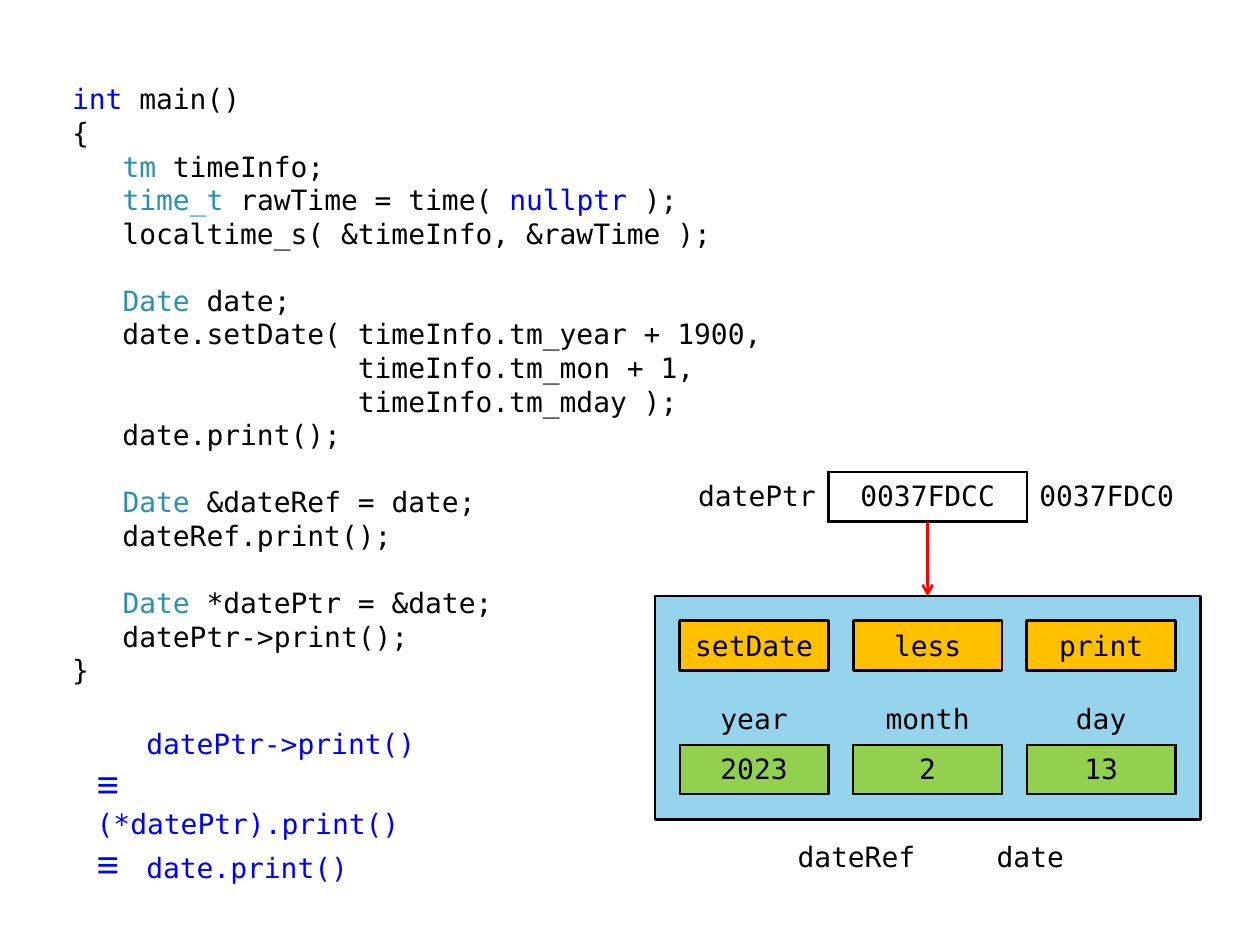
from dataclasses import dataclass
from typing import NamedTuple

from lxml.etree import SubElement
from pptx import Presentation
from pptx.dml.color import RGBColor as Rgb
from pptx.enum.shapes import MSO_CONNECTOR as Connector, MSO_SHAPE as Shape
from pptx.enum.text import MSO_ANCHOR as Anchor, PP_ALIGN as Align
from pptx.oxml.ns import qn
from pptx.util import Pt


@dataclass(frozen=True)
class Theme:
    """Colours, fonts and sizes of the slide."""
    black: str = "000000"
    keyword: str = "0000FF"
    type_name: str = "2B91AF"
    arrow: str = "FF0000"
    object_fill: str = "96D4EE"
    method_fill: str = "FFC000"
    value_fill: str = "92D050"
    mono: str = "DejaVu Sans Mono"
    sans: str = "Arial"
    size: float = 16
    symbol_size: float = 22
    pitch: float = 19.2
    line: float = 1.5


class Box(NamedTuple):
    """A rectangle in points."""
    left: float
    top: float
    width: float
    height: float

    def lengths(self):
        """Return the four lengths for python-pptx."""
        return [Pt(value) for value in self]


THEME = Theme()
UNIT = 14.17
BLACK, KEYWORD, TYPE = THEME.black, THEME.keyword, THEME.type_name
CODE = [
    [("int", KEYWORD), (" main()", BLACK)],
    [("{", BLACK)],
    [("   ", BLACK), ("tm ", TYPE), ("timeInfo;", BLACK)],
    [("   ", BLACK), ("time_t ", TYPE), ("rawTime = time( ", BLACK),
     ("nullptr", KEYWORD), (" );", BLACK)],
    [("   localtime_s( &timeInfo, &rawTime );", BLACK)],
    [("   ", BLACK), ("Date", TYPE), (" date;", BLACK)],
    [("   date.setDate( timeInfo.tm_year + 1900,", BLACK)],
    [("                 timeInfo.tm_mon + 1,", BLACK)],
    [("                 timeInfo.tm_mday );", BLACK)],
    [("   date.print();", BLACK)],
    [("   ", BLACK), ("Date", TYPE), (" &dateRef = date;", BLACK)],
    [("   dateRef.print();", BLACK)],
    [("   ", BLACK), ("Date", TYPE), (" *datePtr = &date;", BLACK)],
    [("   datePtr->print();", BLACK)],
    [("}", BLACK)],
]
GROUP_STARTS = {5, 10, 12}
EQUIVALENTS = [("", "datePtr->print()"), ("≡", "(*datePtr).print()"),
               ("≡", "date.print()")]
METHODS = ["setDate", "less", "print"]
FIELDS = [("year", "2023"), ("month", "2"), ("day", "13")]


def grid_box(origin, column, row, columns, rows):
    """Return the box at a grid place counted from the origin's corner."""
    return Box(origin.left + column * UNIT, origin.top + row * UNIT,
               columns * UNIT, rows * UNIT)


def add_span(para, text, color=BLACK, font=THEME.mono, size=THEME.size):
    """Add one formatted run."""
    span = para.add_run()
    span.text = text
    span.font.name, span.font.size = font, Pt(size)
    span.font.color.rgb = Rgb.from_string(color)


def next_para(frame, index):
    """Return the first paragraph or add another."""
    return frame.add_paragraph() if index else frame.paragraphs[0]


def add_text(page, box, text, align):
    """Add a one-line label centred vertically in its box."""
    frame = page.shapes.add_textbox(*box.lengths()).text_frame
    frame.word_wrap = True
    frame.vertical_anchor = Anchor.MIDDLE
    frame.paragraphs[0].alignment = align
    add_span(frame.paragraphs[0], text)


def add_process(page, box, fill, text=""):
    """Add an outlined process rectangle, with text if any."""
    shape = page.shapes.add_shape(Shape.FLOWCHART_PROCESS, *box.lengths())
    shape.shadow.inherit = False
    shape.fill.solid()
    shape.fill.fore_color.rgb = Rgb.from_string(fill)
    shape.line.color.rgb = Rgb.from_string(BLACK)
    shape.line.width = Pt(THEME.line)
    if text:
        shape.text_frame.vertical_anchor = Anchor.MIDDLE
        shape.text_frame.paragraphs[0].alignment = Align.CENTER
        add_span(shape.text_frame.paragraphs[0], text)
    return shape


def fill_cell(cell, text, align, sides, fill=None):
    """Write a cell and draw the borders on the named sides."""
    props = cell._tc.get_or_add_tcPr()
    for side in "LRTB":
        edge = SubElement(props, qn(f"a:ln{side}"), w=str(Pt(THEME.line)))
        if side in sides:
            paint = SubElement(edge, qn("a:solidFill"))
            SubElement(paint, qn("a:srgbClr"), val=BLACK)
        else:
            SubElement(edge, qn("a:noFill"))
    if fill:
        cell.fill.solid()
        cell.fill.fore_color.rgb = Rgb.from_string(fill)
    else:
        cell.fill.background()
    cell.vertical_anchor = Anchor.MIDDLE
    cell.margin_top = cell.margin_bottom = Pt(0)
    para = cell.text_frame.paragraphs[0]
    para.alignment = align
    add_span(para, text)


def add_plain_table(page, box, rows, columns):
    """Add a table without header or banding."""
    table = page.shapes.add_table(rows, columns, *box.lengths()).table
    table.first_row = table.horz_banding = False
    return table


def add_code(page, box):
    """Place the program listing in the body placeholder."""
    body = page.placeholders[1]
    body.left, body.top, body.width, body.height = box.lengths()
    frame = body.text_frame
    for index, line in enumerate(CODE):
        para = next_para(frame, index)
        props = para._p.get_or_add_pPr()
        props.set("marL", str(Pt(2 * UNIT)))
        props.set("indent", str(-Pt(2 * UNIT)))
        SubElement(props, qn("a:buNone"))
        para.line_spacing = Pt(THEME.pitch)
        para.space_before = Pt(THEME.pitch if index in GROUP_STARTS else 0)
        for text, color in line:
            add_span(para, text, color)


def add_equivalents(page, box):
    """Place the list of equivalent calls."""
    frame = page.shapes.add_textbox(*box.lengths()).text_frame
    frame.word_wrap = True
    for index, (symbol, call) in enumerate(EQUIVALENTS):
        para = next_para(frame, index)
        tabs = SubElement(para._p.get_or_add_pPr(), qn("a:tabLst"))
        SubElement(tabs, qn("a:tab"), pos=str(Pt(2 * UNIT)), algn="l")
        if symbol:
            add_span(para, symbol, KEYWORD, THEME.sans, THEME.symbol_size)
        add_span(para, "\t", KEYWORD, THEME.sans)
        add_span(para, call, KEYWORD)


def add_object(page, box):
    """Place the date object with its methods, fields and names."""
    frame = add_process(page, box, THEME.object_fill)
    for index, (method, (field, value)) in enumerate(zip(METHODS, FIELDS)):
        column = 1 + 7 * index
        add_process(page, grid_box(box, column, 1, 6, 2), THEME.method_fill, method)
        table = add_plain_table(page, grid_box(box, column, 4, 6, 4), 2, 1)
        fill_cell(table.cell(0, 0), field, Align.CENTER, "B")
        fill_cell(table.cell(1, 0), value, Align.CENTER, "LRTB", THEME.value_fill)
    add_text(page, grid_box(box, 5, 9, 6, 3), "dateRef", Align.RIGHT)
    add_text(page, grid_box(box, 13, 9, 4, 3), "date", Align.RIGHT)
    return frame


def add_pointer(page, box, target):
    """Place the pointer row and its arrow to the target."""
    table = add_plain_table(page, box, 1, 3)
    cells = [("datePtr", Align.RIGHT, "R", 7), ("0037FDCC", Align.CENTER, "LRTB", 8),
             ("0037FDC0", Align.LEFT, "L", 7)]
    for index, (text, align, sides, units) in enumerate(cells):
        table.columns[index].width = Pt(units * UNIT)
        fill_cell(table.cell(0, index), text, align, sides)
    middle = Pt(box.left + box.width / 2)
    arrow = page.shapes.add_connector(Connector.STRAIGHT, middle,
                                      Pt(box.top + box.height), middle, target.top)
    arrow.end_connect(target, 0)
    arrow.line.color.rgb = Rgb.from_string(THEME.arrow)
    arrow.line.width = Pt(THEME.line)
    SubElement(arrow.line._get_or_add_ln(), qn("a:tailEnd"), type="arrow")
    SubElement(arrow._element.spPr, qn("a:effectLst"))


def main():
    """Build and save the deck."""
    deck = Presentation()
    deck.slide_width, deck.slide_height = Pt(720), Pt(540)
    page = deck.slides.add_slide(deck.slide_layouts[1])
    title = page.shapes.title._element
    title.getparent().remove(title)
    add_code(page, Box(34, 43.2, 29 * UNIT, 25 * UNIT))
    date_box = Box(374.2, 340.6, 22 * UNIT, 9 * UNIT)
    date_object = add_object(page, date_box)
    add_pointer(page, grid_box(date_box, 0, -5, 22, 2), date_object)
    add_equivalents(page, Box(48.2, 411.8, 15 * UNIT, 6 * UNIT))
    deck.save("out.pptx")


if __name__ == "__main__":
    main()
